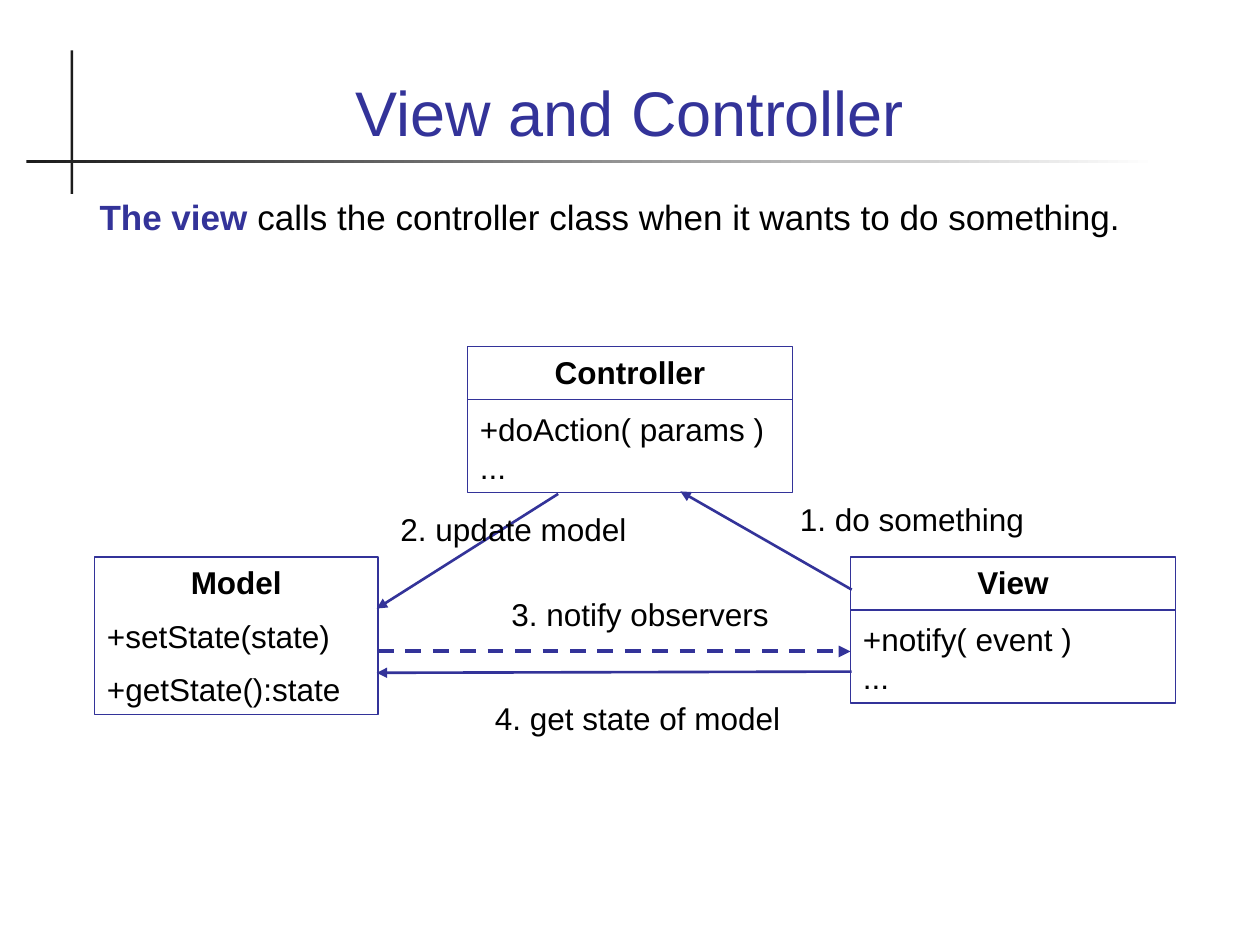
from lxml import etree
from pptx import Presentation
from pptx.dml.color import RGBColor
from pptx.enum.dml import MSO_LINE
from pptx.enum.shapes import MSO_CONNECTOR, MSO_SHAPE
from pptx.enum.text import MSO_ANCHOR, PP_ALIGN
from pptx.oxml.ns import qn
from pptx.util import Emu, Pt

PX = 9144
BLUE = RGBColor(0x33, 0x33, 0x99)
BLACK = RGBColor(0, 0, 0)
DARK = RGBColor(0x1C, 0x1C, 0x1C)
WHITE = RGBColor(0xFF, 0xFF, 0xFF)
FONT = "Arial"
CENTER, LEFT = PP_ALIGN.CENTER, PP_ALIGN.LEFT
TOP, BOTTOM = MSO_ANCHOR.TOP, MSO_ANCHOR.BOTTOM
RECTANGLE, STRAIGHT = MSO_SHAPE.RECTANGLE, MSO_CONNECTOR.STRAIGHT
DASH = MSO_LINE.DASH


def emu(*lengths):
    """Turn px lengths into EMU."""
    return [Emu(length * PX) for length in lengths]


def set_frame(frame, anchor=TOP, left_inset=10):
    """Give a text frame its insets, wrapping and anchor."""
    left, top, right, bottom = emu(left_inset, 5, 10, 5)
    formats = {"margin_left": left, "margin_top": top, "margin_right": right,
               "margin_bottom": bottom, "word_wrap": True, "vertical_anchor": anchor}
    for name, value in formats.items():
        setattr(frame, name, value)


def add_run(paragraph, text, size=18, color=BLACK, bold=False):
    """Append a formatted run to a paragraph."""
    run = paragraph.add_run()
    run.text = text
    for name, value in {"name": FONT, "size": Pt(size), "bold": bold}.items():
        setattr(run.font, name, value)
    run.font.color.rgb = color


def add_line(slide, start, end, width=1, dash=None, arrow=False):
    """Draw a straight line, with an arrowhead at its end if asked."""
    line = slide.shapes.add_connector(STRAIGHT, *emu(*start, *end))
    line.line.color.rgb = BLUE
    line.line.width = Pt(width)
    if dash:
        line.line.dash_style = dash
    if arrow:
        etree.SubElement(line.line._get_or_add_ln(), qn("a:tailEnd"), type="triangle")
    etree.SubElement(line._element.spPr, qn("a:effectLst"))


def add_rule(slide, box):
    """Add a dark, borderless decorative rule."""
    rule = slide.shapes.add_shape(RECTANGLE, *emu(*box))
    rule.shadow.inherit = False
    rule.line.fill.background()
    rule.fill.solid()
    rule.fill.fore_color.rgb = DARK
    return rule


def add_heading(slide, box):
    """Place the title with its crossing rules."""
    left, top, width, height = box
    add_rule(slide, (left - 11, top + 12, 2, 114))
    fading = add_rule(slide, (left - 46, top + 99, 898, 2))
    fading.fill.gradient()
    fading.fill.gradient_angle = 0
    for stop, color in zip(fading.fill.gradient_stops, (DARK, WHITE)):
        stop.color.rgb = color
    title = slide.shapes.title
    title.left, title.top, title.width, title.height = emu(*box)
    set_frame(title.text_frame, BOTTOM)
    paragraph = title.text_frame.paragraphs[0]
    paragraph.alignment = CENTER
    add_run(paragraph, "View and Controller", 36, BLUE)


def add_statement(slide, box):
    """Place the sentence that explains the diagram."""
    statement = slide.shapes.add_textbox(*emu(*box)).text_frame
    set_frame(statement, left_inset=12)
    paragraph = statement.paragraphs[0]
    add_run(paragraph, "The view", 20, BLUE, True)
    add_run(paragraph, " calls the controller class when it wants to do something.", 20)


def add_class(slide, box, name, members, divider=None):
    """Draw a class box from its name and (text, space before) members."""
    left, top, width, height = box
    outline = slide.shapes.add_shape(RECTANGLE, *emu(*box))
    outline.shadow.inherit = False
    outline.fill.background()
    outline.line.color.rgb = BLUE
    outline.line.width = Pt(1)
    frame = outline.text_frame
    set_frame(frame)
    frame.paragraphs[0].alignment = CENTER
    add_run(frame.paragraphs[0], name, bold=True)
    for member, space in members:
        paragraph = frame.add_paragraph()
        paragraph.alignment = LEFT
        paragraph.space_before = Pt(space)
        add_run(paragraph, member)
    if divider:
        add_line(slide, (left, top + divider), (left + width, top + divider))


def add_step(slide, box, text, start, end, width=1.5, dash=None):
    """Draw one numbered message: its arrow and its label."""
    add_line(slide, start, end, width, dash, arrow=True)
    label = slide.shapes.add_textbox(*emu(*box)).text_frame
    set_frame(label)
    add_run(label.paragraphs[0], text)


def add_diagram(slide, box):
    """Place the three classes and the messages between them."""
    x, y, width, height = box
    right, row = x + width, y + 167
    add_class(slide, (x, row, 225, 125), "Model",
              [("+setState(state)", 9), ("+getState():state", 9)])
    add_class(slide, (right - 258, row, 258, 116), "View",
              [("+notify( event )", 11.2), ("...", 0)], 42)
    add_class(slide, (x + 296, y, 258, 116), "Controller",
              [("+doAction( params )", 11.2), ("...", 0)], 42)
    model_edge, view_edge = x + 225, right - 258
    add_step(slide, (x + 550, y + 117, 208, 40), "1. do something",
             (view_edge + 1, y + 193), (x + 465, y + 115))
    add_step(slide, (x + 233, y + 125, 208, 40), "2. update model",
             (x + 368, y + 117), (model_edge - 1, y + 208))
    add_step(slide, (x + 321, y + 192, 238, 40), "3. notify observers",
             (model_edge, y + 242), (view_edge, y + 242), 2.25, DASH)
    add_step(slide, (x + 308, y + 275, 254, 40), "4. get state of model",
             (view_edge + 1, y + 258), (model_edge - 1, y + 259))


def main():
    """Build and save the slide."""
    deck = Presentation()
    deck.slide_width, deck.slide_height = emu(1000, 750)
    slide = deck.slides.add_slide(deck.slide_layouts[5])
    add_heading(slide, (67, 28, 866, 95))
    add_statement(slide, (67, 150, 866, 92))
    add_diagram(slide, (75, 275, 858, 315))
    deck.save("out.pptx")


if __name__ == "__main__":
    main()
